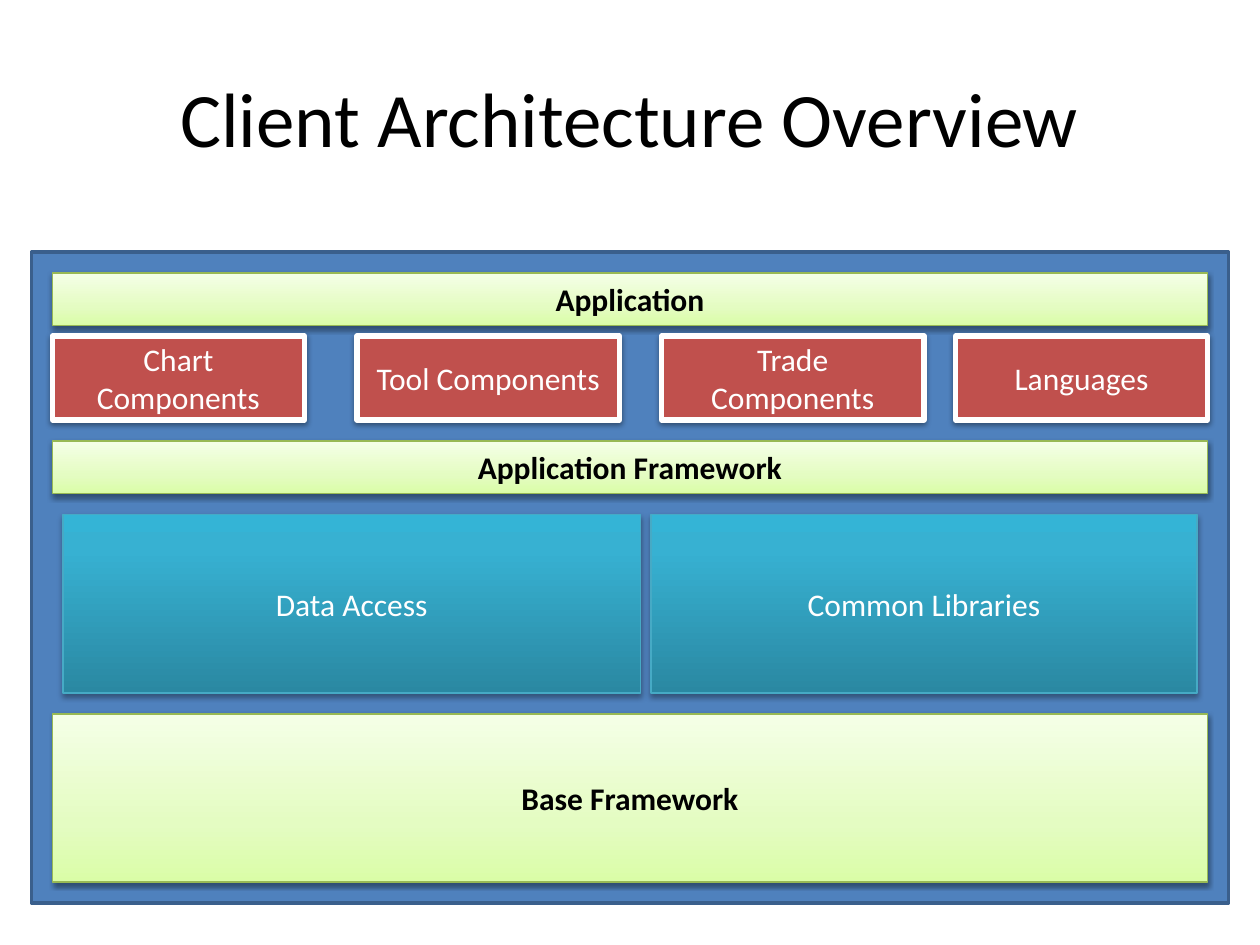
from dataclasses import dataclass
from typing import Optional

from lxml import etree
from pptx import Presentation
from pptx.dml.color import RGBColor
from pptx.enum.shapes import MSO_SHAPE
from pptx.enum.text import MSO_ANCHOR, PP_ALIGN
from pptx.oxml.ns import qn
from pptx.util import Pt

RECTANGLE = MSO_SHAPE.RECTANGLE
MIDDLE = MSO_ANCHOR.MIDDLE
CENTER = PP_ALIGN.CENTER
FONT = "Calibri"
BLANK_LAYOUT = 6

COLORS = {
    "black": "000000",
    "white": "FFFFFF",
    "panel": "4F81BD",
    "panel_edge": "3A5F8C",
    "component": "C0504D",
    "layer_edge": "98B955",
    "service_edge": "46AAC5",
}
# Gradient stops run from the bottom edge to the top edge
LAYER_STOPS = ((0, "DAFDA7"), (35, "E4FCC2"), (100, "F5FFE7"))
SERVICE_STOPS = ((0, "2A88A2"), (80, "37B1D2"), (100, "34B4D6"))


@dataclass(frozen=True)
class Shadow:
    opacity: int
    blur: float
    distance: float


@dataclass(frozen=True)
class Style:
    edge: str
    edge_width: float
    fill: str = ""
    stops: tuple = ()
    text_color: str = "white"
    bold: bool = False
    shadow: Optional[Shadow] = None


@dataclass(frozen=True)
class Block:
    label: str
    left: float
    top: float
    width: float
    height: float
    style: Style


SOFT_SHADOW = Shadow(38, 3.1, 1.6)
PANEL = Style("panel_edge", 2, fill="panel")
LAYER = Style("layer_edge", 0.75, stops=LAYER_STOPS, text_color="black",
              bold=True, shadow=SOFT_SHADOW)
COMPONENT = Style("white", 3, fill="component", shadow=SOFT_SHADOW)
SERVICE = Style("service_edge", 0.75, stops=SERVICE_STOPS,
                shadow=Shadow(35, 3.1, 1.8))

BLOCKS = (
    Block("", 18, 144, 684, 372, PANEL),
    # Full-width layers
    Block("Application", 30, 156, 660, 30, LAYER),
    Block("Application Framework", 30, 252, 660, 30, LAYER),
    Block("Base Framework", 30, 408, 660, 96, LAYER),
    # Components of the application
    Block("Chart Components", 30, 192, 144, 48, COMPONENT),
    Block("Tool Components", 204, 192, 150, 48, COMPONENT),
    Block("Trade Components", 378, 192, 150, 48, COMPONENT),
    Block("Languages", 546, 192, 144, 48, COMPONENT),
    # Services under the application framework
    Block("Data Access", 36, 294, 330, 102, SERVICE),
    Block("Common Libraries", 372, 294, 312, 102, SERVICE),
)


def rgb(name: str) -> RGBColor:
    return RGBColor.from_string(COLORS[name])


def write_text(frame, text: str, size: float, color: str, bold: bool = False) -> None:
    frame.text = text
    frame.word_wrap = True
    frame.vertical_anchor = MIDDLE
    paragraph = frame.paragraphs[0]
    paragraph.alignment = CENTER
    for run in paragraph.runs:
        run.font.name = FONT
        run.font.size = Pt(size)
        run.font.bold = bold
        run.font.color.rgb = rgb(color)


def fill_gradient(shape, stops: tuple) -> None:
    shape.fill.gradient()
    shape.fill.gradient_angle = 90
    stop_list = shape.element.spPr.find(qn("a:gradFill")).find(qn("a:gsLst"))
    for old_stop in list(stop_list):
        stop_list.remove(old_stop)
    for position, color in stops:
        stop = etree.SubElement(stop_list, qn("a:gs"), pos=str(position * 1000))
        etree.SubElement(stop, qn("a:srgbClr"), val=color)


def cast_shadow(shape, shadow: Shadow) -> None:
    effects = shape.element.spPr.find(qn("a:effectLst"))
    outer = etree.SubElement(
        effects, qn("a:outerShdw"), blurRad=str(int(Pt(shadow.blur))),
        dist=str(int(Pt(shadow.distance))), dir="5400000", rotWithShape="0")
    color = etree.SubElement(outer, qn("a:srgbClr"), val=COLORS["black"])
    etree.SubElement(color, qn("a:alpha"), val=str(shadow.opacity * 1000))


def draw_block(slide, block: Block) -> None:
    style = block.style
    shape = slide.shapes.add_shape(
        RECTANGLE, Pt(block.left), Pt(block.top), Pt(block.width), Pt(block.height))
    shape.shadow.inherit = False
    if style.stops:
        fill_gradient(shape, style.stops)
    else:
        shape.fill.solid()
        shape.fill.fore_color.rgb = rgb(style.fill)
    shape.line.color.rgb = rgb(style.edge)
    shape.line.width = Pt(style.edge_width)
    if style.shadow:
        cast_shadow(shape, style.shadow)
    if block.label:
        write_text(shape.text_frame, block.label, 18, style.text_color, style.bold)


def main() -> None:
    presentation = Presentation()
    presentation.slide_width = Pt(720)
    presentation.slide_height = Pt(540)
    slide = presentation.slides.add_slide(presentation.slide_layouts[BLANK_LAYOUT])

    # Title
    title = slide.shapes.add_textbox(Pt(36), Pt(21.6), Pt(648), Pt(90))
    write_text(title.text_frame, "Client Architecture Overview", 44, "black")

    # Architecture stack
    for block in BLOCKS:
        draw_block(slide, block)

    presentation.save("out.pptx")


if __name__ == "__main__":
    main()
